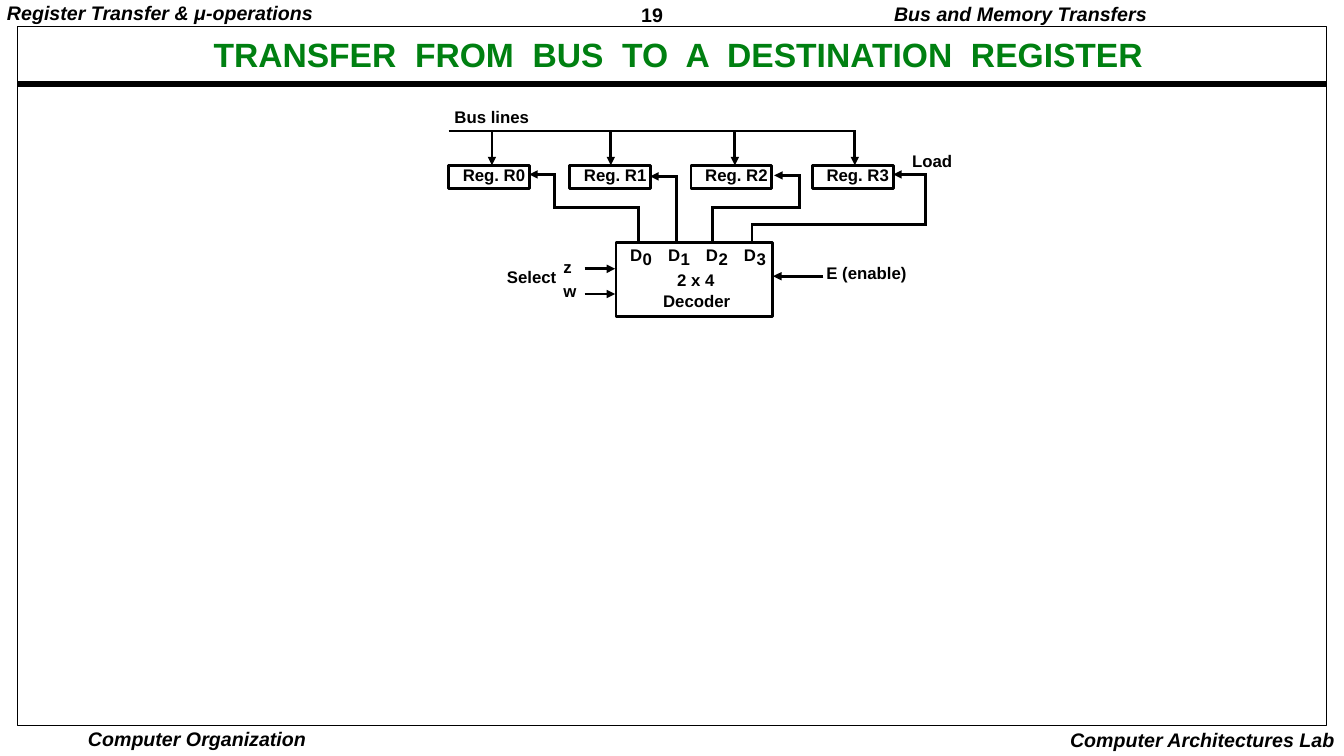
import pptx
import pptx.dml.color
import pptx.enum.shapes
import pptx.enum.text
import pptx.oxml
import pptx.oxml.ns
import pptx.util

Pt = pptx.util.Pt
Align = pptx.enum.text.PP_ALIGN
BLACK = pptx.dml.color.RGBColor(0x00, 0x00, 0x00)
WHITE = pptx.dml.color.RGBColor(0xFF, 0xFF, 0xFF)
GREEN = pptx.dml.color.RGBColor(0x00, 0x80, 0x11)
FONT = "Arial"


def write(frame, text, size=12, color=BLACK, italic=False, align=Align.LEFT,
          spacing=0.9, inset=(7.2, 3.6), wrap=False):
    frame.word_wrap = wrap
    frame.auto_size = pptx.enum.text.MSO_AUTO_SIZE.SHAPE_TO_FIT_TEXT
    frame.vertical_anchor = pptx.enum.text.MSO_ANCHOR.TOP
    frame.margin_left = frame.margin_right = Pt(inset[0])
    frame.margin_top = frame.margin_bottom = Pt(inset[1])
    paragraph = frame.paragraphs[0]
    paragraph.alignment = align
    paragraph.line_spacing = spacing
    run = paragraph.add_run()
    run.text = text
    run.font.name = FONT
    run.font.size = Pt(size)
    run.font.bold = True
    run.font.italic = italic
    run.font.color.rgb = color


class DiagramSlide:
    line_width = 2

    def __init__(self, slide):
        self.slide = slide

    def title(self, text, left, top, width, height):
        heading = self.slide.shapes.title
        heading.left, heading.top = Pt(left), Pt(top)
        heading.width, heading.height = Pt(width), Pt(height)
        write(heading.text_frame, text, size=24, color=GREEN,
              align=Align.CENTER, inset=(5, 2.2), wrap=True)

    def label(self, text, left, top, width, height=20.2, **style):
        holder = self.slide.shapes.add_textbox(Pt(left), Pt(top), Pt(width), Pt(height))
        write(holder.text_frame, text, **style)

    def box(self, left, top, width, height, fill=WHITE, weight=line_width):
        block = self.slide.shapes.add_shape(
            pptx.enum.shapes.MSO_SHAPE.RECTANGLE,
            Pt(left), Pt(top), Pt(width), Pt(height))
        block.shadow.inherit = False
        if fill is None:
            block.fill.background()
        else:
            block.fill.solid()
            block.fill.fore_color.rgb = fill
        block.line.color.rgb = BLACK
        block.line.width = Pt(weight)

    def wire(self, start, end, weight=line_width, arrow=False, cap="flat"):
        wire = self.slide.shapes.add_connector(
            pptx.enum.shapes.MSO_CONNECTOR.STRAIGHT,
            Pt(start[0]), Pt(start[1]), Pt(end[0]), Pt(end[1]))
        wire.line.color.rgb = BLACK
        wire.line.width = Pt(weight)
        stroke = wire.line._get_or_add_ln()
        stroke.set("cap", cap)
        if arrow:
            tip = pptx.oxml.parse_xml(
                "<a:tailEnd %s type='triangle'/>" % pptx.oxml.ns.nsdecls("a"))
            stroke.append(tip)
        effects = pptx.oxml.parse_xml("<a:effectLst %s/>" % pptx.oxml.ns.nsdecls("a"))
        wire._element.spPr.append(effects)

    def route(self, *corners):
        for start, end in zip(corners[:-2], corners[1:-1]):
            self.wire(start, end, cap="sq")
        self.wire(corners[-2], corners[-1], arrow=True)


def main():
    deck = pptx.Presentation()
    deck.slide_width, deck.slide_height = Pt(960), Pt(540)
    page = DiagramSlide(deck.slides.add_slide(deck.slide_layouts[5]))

    page.label("19", 453, 0, 27.4, 20.9, size=14, spacing=1.01, inset=(5, 2.2))
    page.label("Register Transfer & μ-operations", 0, 0, 229.7, 34.6,
               size=14, italic=True, inset=(5, 2.2))
    page.label("Bus and Memory Transfers", 630.7, 0, 195.8, 22.3,
               size=14, italic=True, align=Align.RIGHT)
    page.label("Computer Organization", 60.5, 518.4, 160.6, 18.7, size=14,
               italic=True, align=Align.CENTER, spacing=1, inset=(2.2, 0.7))
    page.label("Computer Architectures Lab", 756, 516.2, 204.5, 23.8,
               size=14, italic=True, align=Align.RIGHT, spacing=1)
    page.wire((12.2, 60), (947.5, 60), weight=4.5)
    page.box(12.2, 18.7, 935.3, 499.7, fill=None, weight=0.5)
    page.title("TRANSFER  FROM  BUS  TO  A  DESTINATION  REGISTER",
               137.5, 25.2, 694.1, 30.2)

    bus_y, register_top, decoder_top = 93.6, 118.1, 173
    page.label("Bus lines", 317.5, 74.2, 68.4)
    page.wire((320.4, bus_y), (611.3, bus_y))
    for number, drop_x in enumerate((351.4, 436.3, 524.9, 610.6)):
        register_left = 320.4 + 86.6 * number
        page.box(register_left, register_top, 57.8, 16.6)
        page.label(f"Reg. R{number}", register_left + 3.1, 115.9, 59.8)
        page.wire((drop_x, bus_y), (drop_x, register_top), arrow=True)

    page.box(440, decoder_top, 111.6, 53.3)
    for number in range(4):
        output_left = 443 + 27.1 * number
        page.label("D", output_left, 172.8, 23)
        page.label(str(number), output_left + 9, 175.7, 20.9)
    page.label("2 x 4", 476.6, 190.8, 41)
    page.label("Decoder", 466.6, 205.9, 62.6)

    page.route((456, decoder_top), (456, 148.5), (396, 148.5), (396, 124.6), (378, 124.6))
    page.route((483.1, decoder_top), (483.1, 126), (464.4, 126))
    page.route((509.2, decoder_top), (509.2, 148.5), (571, 148.5), (571, 125.3), (553, 125.3))
    page.route((537.2, decoder_top), (537.2, 160.5), (661.2, 160.5), (661.2, 124.6), (638, 124.6))
    page.label("Load", 644.4, 105.8, 43.2)

    page.label("Select", 355, 188.6, 49.7)
    for name, label_top, input_y in (("z", 181.4, 192), ("w", 198.7, 210)):
        page.label(name, 395.3, label_top, 22)
        page.wire((417.6, input_y), (439.4, input_y), arrow=True)
    page.label("E (enable)", 583.2, 185.8, 72)
    page.wire((588.2, 197.3), (552.2, 197.3), arrow=True)

    deck.save("out.pptx")


if __name__ == "__main__":
    main()
